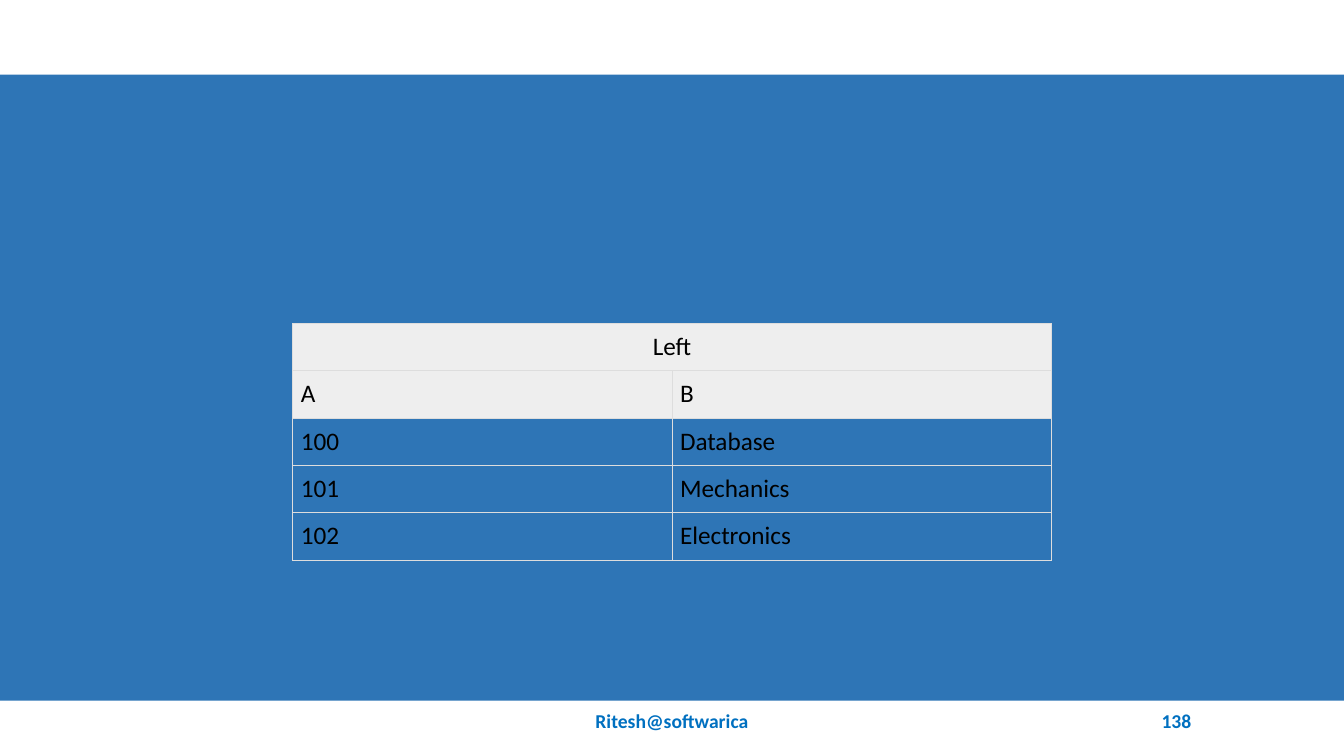
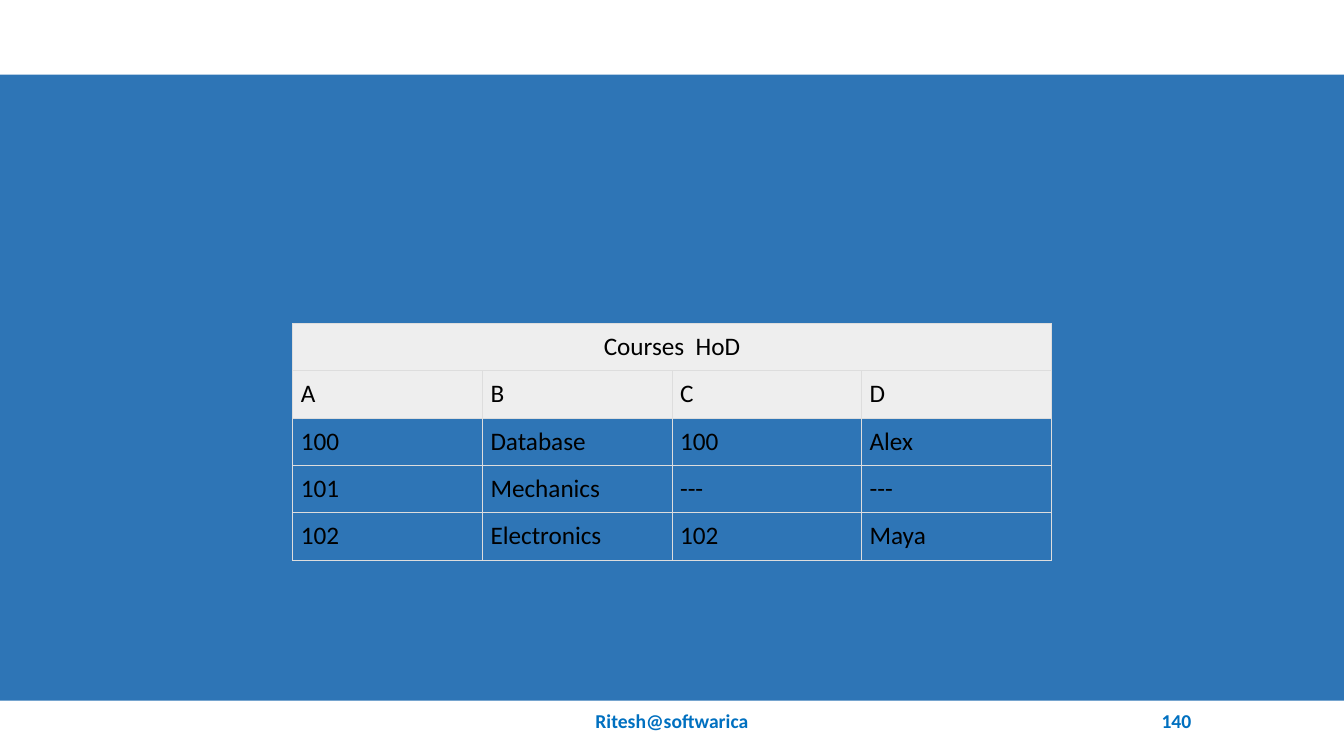
"""Build two slides that show join tables on a blue band with a shared footer."""
from lxml import etree
from pptx import Presentation
from pptx.dml.color import RGBColor
from pptx.enum.shapes import MSO_SHAPE
from pptx.enum.text import MSO_ANCHOR, PP_ALIGN
from pptx.oxml.ns import qn
from pptx.util import Inches, Pt

RECTANGLE = MSO_SHAPE.RECTANGLE
MIDDLE = MSO_ANCHOR.MIDDLE
LEFT, CENTER, RIGHT = PP_ALIGN.LEFT, PP_ALIGN.CENTER, PP_ALIGN.RIGHT

FONT = "Calibri"
BAND_BLUE, FOOTER_BLUE = "2E75B6", "0070C0"
HEADER_GREY, BORDER_GREY = "EEEEEE", "DDDDDD"
BLACK, WHITE = "000000", "FFFFFF"

WIDTH, HEIGHT = Inches(13.33), Inches(7.5)
BAND_TOP, FOOTER_TOP = Inches(0.74), Inches(6.95)
FOOTER_HEIGHT = Inches(0.4)
FOOTER_WIDTH, NUMBER_WIDTH = Inches(4.5), Inches(3)
FOOTER_LEFT = (WIDTH - FOOTER_WIDTH) // 2
TABLE_WIDTH, TABLE_TOP = Inches(7.52), Inches(3.21)
TABLE_LEFT = (WIDTH - TABLE_WIDTH) // 2
ROW_HEIGHT = Inches(0.47)
CELL_MARGIN = Inches(0.08)
HEADER_ROWS = 2

SLIDES = [
    ("138", "Left", [
        ["A", "B"],
        ["100", "Database"],
        ["101", "Mechanics"],
        ["102", "Electronics"],
    ]),
    ("140", "Courses  HoD", [
        ["A", "B", "C", "D"],
        ["100", "Database", "100", "Alex"],
        ["101", "Mechanics", "---", "---"],
        ["102", "Electronics", "102", "Maya"],
    ]),
]


def color(value):
    return RGBColor.from_string(value)


def write(text_frame, text, size, text_color, alignment, bold=False):
    text_frame.text = text
    paragraph = text_frame.paragraphs[0]
    paragraph.alignment = alignment
    for run in paragraph.runs:
        run.font.name = FONT
        run.font.size = Pt(size)
        run.font.bold = bold
        run.font.color.rgb = color(text_color)


presentation = Presentation()
presentation.slide_width, presentation.slide_height = WIDTH, HEIGHT
blank_layout = presentation.slide_layouts.get_by_name("Blank")
master_fill = presentation.slide_master.background.fill
master_fill.solid()
master_fill.fore_color.rgb = color(WHITE)

for number, heading, records in SLIDES:
    slide = presentation.slides.add_slide(blank_layout)

    band = slide.shapes.add_shape(RECTANGLE, 0, BAND_TOP, WIDTH, FOOTER_TOP - BAND_TOP)
    band.shadow.inherit = False
    band.fill.solid()
    band.fill.fore_color.rgb = color(BAND_BLUE)
    band.line.fill.background()

    column_count = len(records[0])
    rows = [[heading] + [""] * (column_count - 1)] + records
    table = slide.shapes.add_table(
        len(rows), column_count, TABLE_LEFT, TABLE_TOP, TABLE_WIDTH, ROW_HEIGHT * len(rows)
    ).table
    table.first_row = table.horz_banding = False
    for row_index, row in enumerate(rows):
        for column_index, text in enumerate(row):
            cell = table.cell(row_index, column_index)
            write(cell.text_frame, text, 18, BLACK, CENTER if row_index == 0 else LEFT)
            cell.margin_left = cell.margin_right = CELL_MARGIN
            cell.margin_top = cell.margin_bottom = CELL_MARGIN
            properties = cell._tc.get_or_add_tcPr()
            for side in ("a:lnL", "a:lnR", "a:lnT", "a:lnB"):
                border = etree.SubElement(properties, qn(side), w=str(Pt(0.75)))
                border_fill = etree.SubElement(border, qn("a:solidFill"))
                etree.SubElement(border_fill, qn("a:srgbClr"), val=BORDER_GREY)
            if row_index < HEADER_ROWS:
                cell.fill.solid()
                cell.fill.fore_color.rgb = color(HEADER_GREY)
            else:
                cell.fill.background()
    table.cell(0, 0).merge(table.cell(0, column_count - 1))

    for text, left, width, alignment in (
        ("Ritesh@softwarica", FOOTER_LEFT, FOOTER_WIDTH, CENTER),
        (number, FOOTER_LEFT + FOOTER_WIDTH, NUMBER_WIDTH, RIGHT),
    ):
        footer = slide.shapes.add_textbox(left, FOOTER_TOP, width, FOOTER_HEIGHT)
        footer.text_frame.word_wrap = True
        footer.text_frame.vertical_anchor = MIDDLE
        write(footer.text_frame, text, 14, FOOTER_BLUE, alignment, bold=True)

presentation.save("out.pptx")
